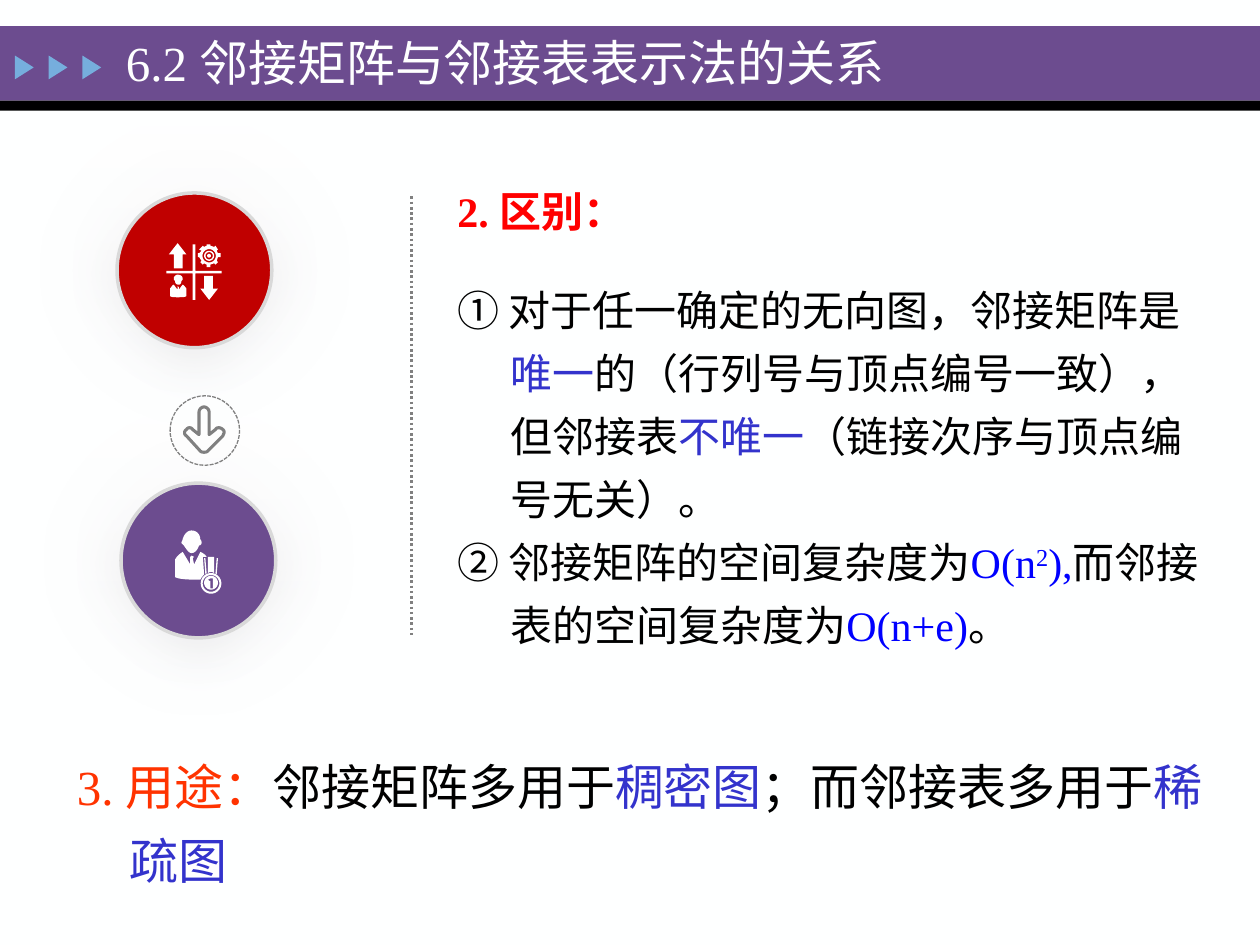
from dataclasses import dataclass
from math import cos, pi, sin

from lxml.etree import SubElement
from pptx import Presentation
from pptx.dml.color import RGBColor
from pptx.enum.dml import MSO_LINE
from pptx.enum.shapes import MSO_CONNECTOR, MSO_SHAPE
from pptx.enum.text import MSO_ANCHOR, MSO_AUTO_SIZE
from pptx.oxml.ns import qn
from pptx.util import Cm, Pt

FONT = "Times New Roman"
PAPER = RGBColor(0xFE, 0xFF, 0xFF)
WHITE = RGBColor(0xFF, 0xFF, 0xFF)
BLACK = RGBColor(0, 0, 0)
PURPLE = RGBColor(0x6C, 0x4C, 0x8F)
SKY = RGBColor(0x76, 0xAE, 0xDD)
CRIMSON = RGBColor(0xC0, 0, 0)
RED = RGBColor(0xFF, 0, 0)
ORANGE = RGBColor(0xFF, 0x33, 0)
INDIGO = RGBColor(0x33, 0x33, 0xCC)
BLUE = RGBColor(0, 0, 0xFF)
GREY = RGBColor(0x80, 0x80, 0x80)
RIM = RGBColor(0xD9, 0xD9, 0xD9)
OUTER_HALO = RGBColor(0xF7, 0xF7, 0xF9)
INNER_HALO = RGBColor(0xE4, 0xE4, 0xE4)

ICON_UNIT = 0.0254  # centimetres per icon grid step


def circle(x: float, y: float, radius: float) -> list:
    return [(x + radius * cos(pi * step / 16), y + radius * sin(pi * step / 16))
            for step in range(32)]


# Icons: outlines made of contours; a pair is a corner, six numbers are a Bezier curve.
MATRIX_ICON = [
    [[(155, 215), (155, 194), (153, 194), (153, 215), (132, 215), (132, 217), (153, 217),
      (153, 238), (155, 238), (155, 217), (176, 217), (176, 215)]],
    [[(138, 213), (145, 213), (145, 202), (148, 202), (141, 193), (134, 202), (138, 202)]],
    [[(169, 219), (162, 219), (162, 229), (159, 229), (166, 238), (173, 229), (169, 229)]],
    [[(160, 207), (159, 208), (161, 210), (162, 209), (164, 210), (164, 212), (167, 212),
      (167, 210), (170, 209), (171, 210), (173, 208), (172, 207), (173, 204), (175, 204),
      (175, 201), (173, 201), (172, 199), (173, 198), (171, 195), (170, 196), (167, 195),
      (167, 194), (164, 194), (164, 195), (162, 196), (161, 195), (158, 198), (160, 199),
      (158, 201), (157, 201), (157, 204), (158, 204)], circle(166, 203, 5.3)],
    [circle(166, 203, 4), circle(166, 203, 2.9)],
    [circle(166, 203, 1.5)],
    [[(139, 223), (139, 225, 140, 226, 142, 226), (143, 226, 144, 225, 144, 223),
      (145, 222), (145, 221), (145, 219, 143, 218, 141, 218),
      (140, 218, 138, 219, 138, 221), (138, 222)]],
    [[(145, 226), (142, 230), (142, 228), (141, 227), (141, 230), (138, 226),
      (137, 226, 136, 228, 135, 229), (135, 235), (136, 236, 138, 236, 141, 236),
      (145, 236, 147, 236, 148, 235), (148, 229), (147, 228, 146, 226, 145, 226)]],
]
WINNER_ICON = [
    [[(146, 433), (148, 436, 150, 439, 152, 439), (155, 439, 157, 436, 158, 433),
      (159, 433, 160, 432, 160, 431), (160, 430, 160, 429, 159, 428),
      (159, 424, 156, 421, 152, 421), (149, 421, 146, 424, 145, 428),
      (145, 429, 144, 430, 144, 431), (145, 432, 146, 433, 146, 433)]],
    [[(162, 443), (163, 456), (164, 455), (163, 443)]],
    [[(173, 443), (172, 443), (171, 455), (172, 456)]],
    [circle(167.5, 463, 8.2), circle(167.5, 463, 6.6)],
    [[(168, 454), (168, 454, 169, 454, 170, 455), (170, 442), (165, 442), (165, 455),
      (166, 454, 167, 454, 168, 454)]],
    [[(162, 456), (161, 442), (164, 442), (163, 440, 161, 439, 159, 438), (154, 448),
      (153, 443), (154, 442), (152, 441), (151, 442), (151, 448), (145, 438),
      (142, 440, 140, 442, 139, 444), (139, 458), (140, 459, 146, 460, 152, 460),
      (155, 460, 157, 460, 159, 460), (160, 458, 161, 457, 162, 456)]],
    [circle(167.5, 462.5, 5.5),
     [(169, 467), (167, 467), (167, 461), (166, 461), (165, 460), (167, 459), (169, 459)]],
]
ARROW_OUTLINE = [[
    (178, 343), (178, 344, 177, 345, 177, 346), (165, 358), (164, 359, 163, 359, 162, 359),
    (161, 359, 160, 359, 159, 358), (148, 346), (146, 345, 146, 342, 148, 341),
    (149, 339, 152, 339, 153, 341), (158, 345), (158, 327), (158, 325, 160, 323, 162, 323),
    (164, 323, 166, 325, 166, 327), (166, 345), (171, 341), (172, 339, 175, 339, 177, 341),
    (177, 341, 178, 342, 178, 343)]]


@dataclass
class Badge:
    x: float
    y: float
    color: RGBColor
    icon: list


@dataclass
class Span:
    text: str
    color: RGBColor = BLACK
    bold: bool = False
    raised: bool = False


@dataclass
class TextBlock:
    box: tuple
    size: int
    paragraphs: list
    hanging: bool = False
    middle: bool = False


BADGES = [Badge(3.92, 5.45, CRIMSON, MATRIX_ICON), Badge(4.0, 11.3, PURPLE, WINNER_ICON)]
TEXT_BLOCKS = [
    TextBlock((2.29, 0.53, 21.59, 1.42), 28,
              [[Span("6.2 邻接矩阵与邻接表表示法的关系", PAPER)]], middle=True),
    TextBlock((8.97, 3.61, 12.37, 1.3), 24, [[Span("2. 区别：", RED, bold=True)]]),
    TextBlock((8.97, 5.36, 15.6, 7.95), 24, [
        [Span("① 对于任一确定的无向图，邻接矩阵是"), Span("唯一", INDIGO),
         Span("的（行列号与顶点编号一致），但邻接表"), Span("不唯一", INDIGO),
         Span("（链接次序与顶点编号无关）。")],
        [Span("② 邻接矩阵的空间复杂度为"), Span("O(n", BLUE), Span("2", BLUE, raised=True),
         Span("),", BLUE), Span("而邻接表的空间复杂度为"), Span("O(n+e)", BLUE), Span("。")],
    ], hanging=True),
    TextBlock((1.3, 14.83, 23.88, 3.12), 28, [
        [Span("3. 用途：", ORANGE), Span("邻接矩阵多用于"), Span("稠密图", INDIGO),
         Span("；而邻接表多用于"), Span("稀疏图", INDIGO)]], hanging=True),
]


def paint(shape, fill: RGBColor | None, line: RGBColor | None = None, width: float = 1) -> None:
    shape.shadow.inherit = False
    if fill is None:
        shape.fill.background()
    else:
        shape.fill.solid()
        shape.fill.fore_color.rgb = fill
    if line is None:
        shape.line.fill.background()
    else:
        shape.line.color.rgb = line
        shape.line.width = Pt(width)


def add_disc(shapes, x: float, y: float, diameter: float):
    """Add an ellipse by its centre."""
    return shapes.add_shape(MSO_SHAPE.OVAL, Cm(x - diameter / 2), Cm(y - diameter / 2),
                            Cm(diameter), Cm(diameter))


def flatten(contour: list) -> list:
    """Turn a contour's corners and curves into points."""
    points = [contour[0]]
    for segment in contour[1:]:
        if len(segment) == 2:
            points.append(segment)
            continue
        nodes = [points[-1], segment[:2], segment[2:4], segment[4:]]
        for step in range(1, 7):
            t = step / 6
            weights = ((1 - t) ** 3, 3 * t * (1 - t) ** 2, 3 * t * t * (1 - t), t ** 3)
            points.append(tuple(sum(weight * node[axis] for weight, node in zip(weights, nodes))
                                for axis in (0, 1)))
    return [(Cm(x * ICON_UNIT), Cm(y * ICON_UNIT)) for x, y in points]


def add_outline(shapes, contours: list):
    first, *others = [flatten(contour) for contour in contours]
    builder = shapes.build_freeform(*first[0])
    builder.add_line_segments(first[1:], close=True)
    for points in others:
        builder.move_to(*points[0])
        builder.add_line_segments(points[1:], close=True)
    return builder.convert_to_shape()


def add_badge(slide, badge: Badge) -> None:
    shapes = slide.shapes.add_group_shape().shapes
    for diameter, shade in ((6.6, OUTER_HALO), (5.45, INNER_HALO)):
        halo = add_disc(shapes, badge.x, badge.y, diameter)
        paint(halo, None)
        halo.fill.gradient()
        halo.fill.gradient_angle = 270
        for stop, color in zip(halo.fill.gradient_stops, (WHITE, shade)):
            stop.color.rgb = color
        effects = halo._element.spPr.find(qn("a:effectLst"))
        SubElement(effects, qn("a:softEdge"), rad=str(Cm(0.9)))
    paint(add_disc(shapes, badge.x, badge.y, 3.12), badge.color, RIM, 2)
    for contours in badge.icon:
        paint(add_outline(shapes, contours), WHITE)


def add_text(slide, block: TextBlock) -> None:
    frame = slide.shapes.add_textbox(*map(Cm, block.box)).text_frame
    frame.word_wrap = True
    if block.middle:
        frame.vertical_anchor = MSO_ANCHOR.MIDDLE
    else:
        frame.auto_size = MSO_AUTO_SIZE.SHAPE_TO_FIT_TEXT
    for index, spans in enumerate(block.paragraphs):
        paragraph = frame.add_paragraph() if index else frame.paragraphs[0]
        if block.hanging:
            paragraph.line_spacing = 1.25
            properties = paragraph._p.get_or_add_pPr()
            properties.set("marL", str(Cm(1.07)))
            properties.set("indent", str(-Cm(1.07)))
        for span in spans:
            run = paragraph.add_run()
            run.text = span.text
            run.font.name = FONT
            run.font.size = Pt(block.size)
            run.font.bold = span.bold
            run.font.color.rgb = span.color
            if span.raised:
                run._r.get_or_add_rPr().set("baseline", "30000")


def main() -> None:
    presentation = Presentation()
    presentation.slide_width, presentation.slide_height = Cm(25.4), Cm(19.05)
    slide = presentation.slides.add_slide(presentation.slide_layouts[6])
    slide.background.fill.solid()
    slide.background.fill.fore_color.rgb = PAPER
    shapes = slide.shapes
    for top, height, color in ((0.53, 1.5, PURPLE), (2.03, 0.2, BLACK)):
        paint(shapes.add_shape(MSO_SHAPE.RECTANGLE, 0, Cm(top), Cm(25.4), Cm(height)), color)
    for index in range(3):
        marker = shapes.add_shape(MSO_SHAPE.ISOSCELES_TRIANGLE, Cm(0.25 + 0.68 * index),
                                  Cm(1.17), Cm(0.48), Cm(0.38))
        marker.rotation = 90
        paint(marker, SKY)
    for badge in BADGES:
        add_badge(slide, badge)
    ring = add_disc(shapes, 4.13, 8.68, 1.4)
    paint(ring, None, GREY, 0.75)
    ring.line.dash_style = MSO_LINE.SQUARE_DOT
    paint(add_outline(shapes, ARROW_OUTLINE), None, GREY, 1.75)
    divider = shapes.add_connector(MSO_CONNECTOR.STRAIGHT, Cm(8.3), Cm(3.96), Cm(8.3), Cm(12.85))
    divider.line.color.rgb = GREY
    divider.line.width = Pt(1.5)
    divider.line.dash_style = MSO_LINE.ROUND_DOT
    SubElement(divider._element.spPr, qn("a:effectLst"))
    for block in TEXT_BLOCKS:
        add_text(slide, block)
    presentation.save("out.pptx")


if __name__ == "__main__":
    main()
